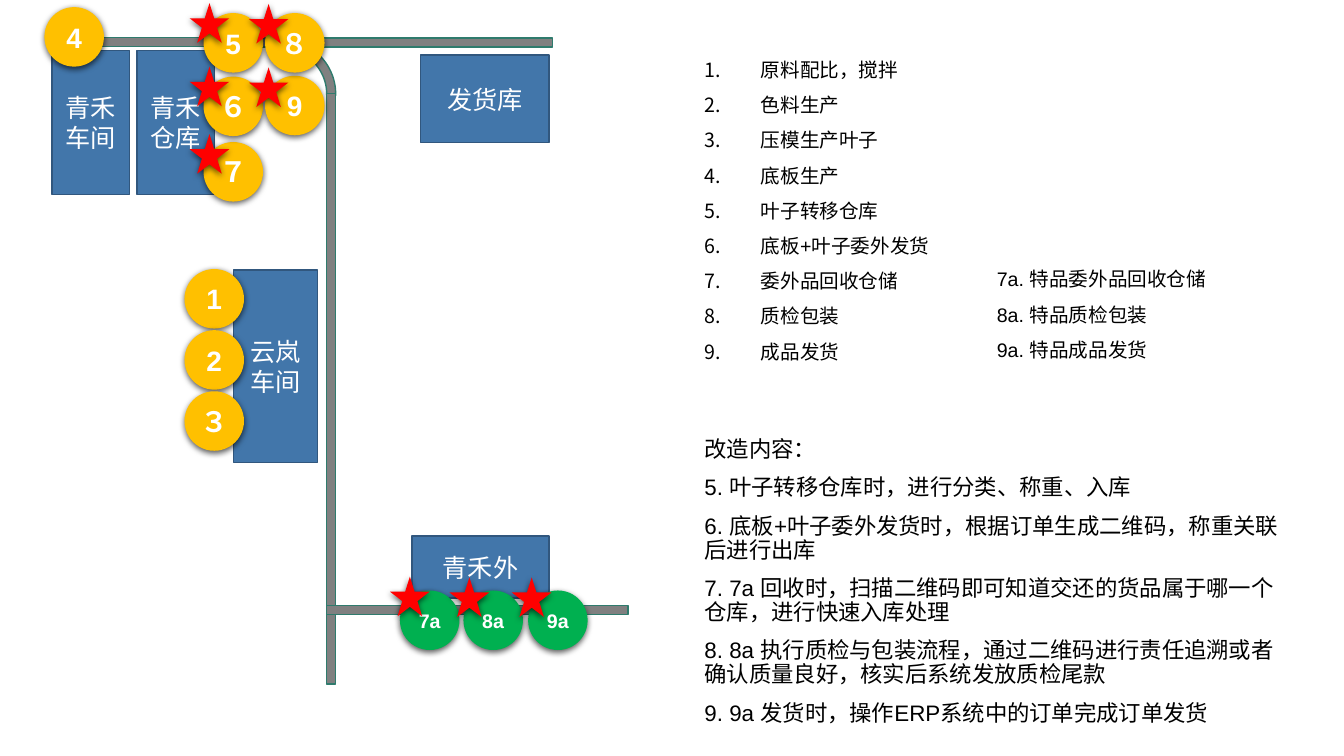
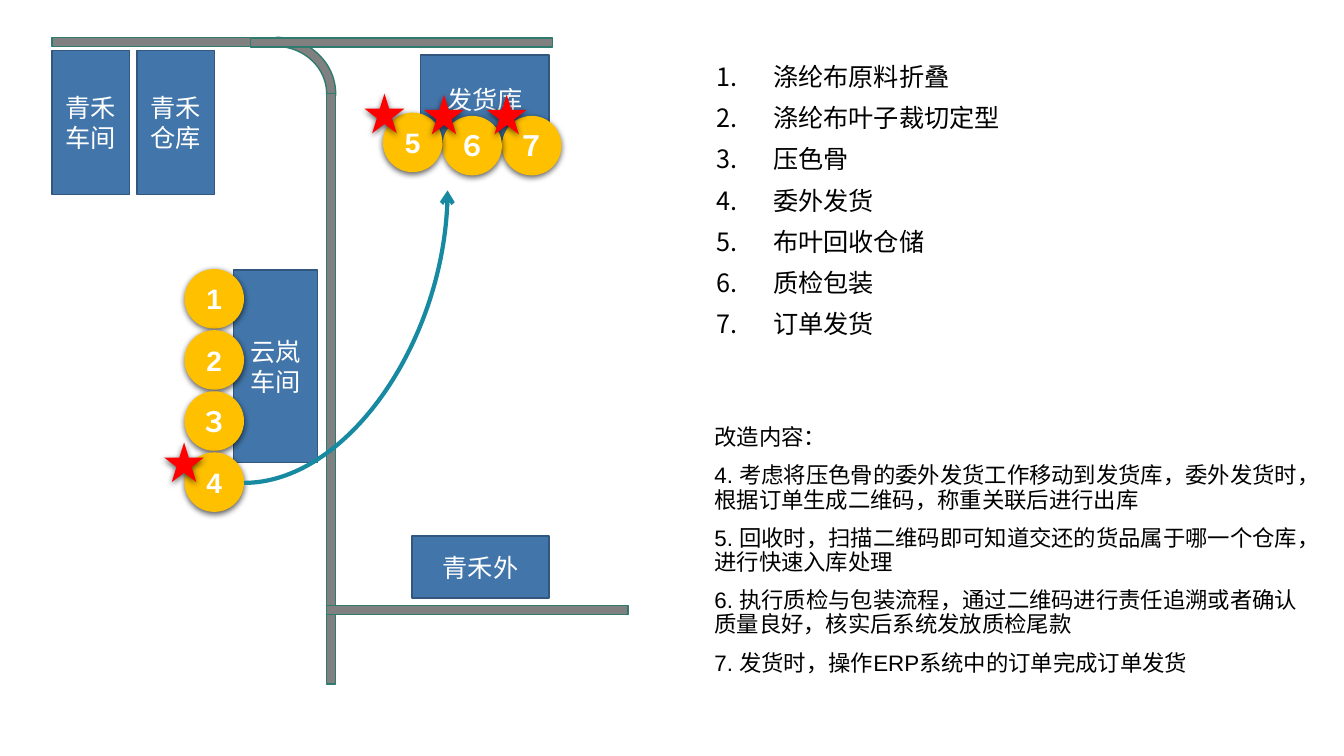
from typing import NamedTuple, Optional

from lxml.etree import SubElement
from pptx import Presentation
from pptx.dml.color import RGBColor
from pptx.enum.shapes import MSO_CONNECTOR, MSO_SHAPE
from pptx.enum.text import MSO_ANCHOR, MSO_AUTO_SIZE, PP_ALIGN
from pptx.oxml.ns import qn
from pptx.util import Cm, Pt

FONT = "Arial"
WHITE, BLACK = "FFFFFF", "000000"
BUILDING_FILL, BUILDING_LINE = "4276AA", "31577E"
ROAD_FILL, ROAD_LINE = "808080", "2F7B6D"
AMBER, GREEN, RED, TEAL = "FFC000", "00B050", "FF0000", "178AA1"
MARKER_SIZE, STAR_SIZE = 1.5, 1.0
STACK_LEFT, STACK_TOP, STACK_STEP = 4.65, 6.78, 1.54
LIST_INDENT = 1.42


class Area(NamedTuple):
    left: float
    top: float
    width: float
    height: float


class Building(NamedTuple):
    area: Area
    lines: list[str]


class Marker(NamedTuple):
    label: str
    left: float
    top: float
    fill: str = AMBER
    size: int = 20


class TextBlock(NamedTuple):
    area: Area
    lines: list[str]
    size: int
    numbered: bool = False


class Plan(NamedTuple):
    steps: TextBlock
    changes: TextBlock
    markers: list[Marker]
    stars: list[tuple[float, float]]
    special: Optional[TextBlock] = None
    route: Optional[tuple[float, float, float, float]] = None


WORKSHOP, STORE = Area(1.31, 1.27, 1.96, 3.63), Area(3.45, 1.27, 1.96, 3.63)
BEND = Area(5.41, 0.94, 3.05, 2.84)
ROADS = [
    Area(1.31, 0.94, 5.64, 0.23),
    Area(8.23, 2.36, 0.23, 14.88),
    Area(6.32, 0.96, 7.6, 0.23),
    Area(8.23, 15.26, 7.6, 0.23),
]
BUILDINGS = [
    Building(WORKSHOP, ["青禾车间"]),
    Building(STORE, ["青禾仓库"]),
    Building(Area(5.89, 6.8, 2.11, 4.85), ["云岚", "车间"]),
    Building(Area(10.6, 1.39, 3.24, 2.21), ["发货库"]),
    Building(Area(10.38, 13.51, 3.46, 1.56), ["青禾外"]),
]


def stack(labels: str) -> list[Marker]:
    """Place markers down the left side of the lower workshop."""
    return [Marker(label, STACK_LEFT, STACK_TOP + STACK_STEP * row) for row, label in enumerate(labels)]


PLANS = [
    Plan(
        steps=TextBlock(
            Area(17.5, 1.4, 7.95, 13.56),
            ["原料配比，搅拌", "色料生产", "压模生产叶子", "底板生产", "叶子转移仓库",
             "底板+叶子委外发货", "委外品回收仓储", "质检包装", "成品发货"],
            14, True,
        ),
        changes=TextBlock(
            Area(17.5, 10.92, 15.32, 7.75),
            ["改造内容：",
             "5. 叶子转移仓库时，进行分类、称重、入库",
             "6. 底板+叶子委外发货时，根据订单生成二维码，称重关联后进行出库",
             "7. 7a 回收时，扫描二维码即可知道交还的货品属于哪一个仓库，进行快速入库处理",
             "8. 8a 执行质检与包装流程，通过二维码进行责任追溯或者确认质量良好，核实后系统发放质检尾款",
             "9. 9a 发货时，操作ERP系统中的订单完成订单发货"],
            16,
        ),
        markers=[
            Marker("７", 5.13, 3.58), Marker("６", 5.13, 1.93), Marker("5", 5.13, 0.33),
            Marker("4", 1.12, 0.18), *stack("12３"),
            Marker("9", 6.68, 1.91), Marker("８", 6.68, 0.33),
            *(Marker(label, left, 14.88, GREEN, 14)
              for label, left in (("9a", 13.31), ("8a", 11.68), ("7a", 10.08))),
        ],
        stars=[(4.78, 0.08), (4.78, 1.68), (6.27, 0.1), (6.27, 1.7),
               (4.78, 3.38), (9.83, 14.53), (11.33, 14.55), (12.9, 14.55)],
        special=TextBlock(
            Area(24.87, 6.68, 7.95, 3.43),
            ["7a. 特品委外品回收仓储", "8a. 特品质检包装", "9a. 特品成品发货"],
            14,
        ),
    ),
    Plan(
        steps=TextBlock(
            Area(17.81, 1.5, 11.38, 13.56),
            ["涤纶布原料折叠", "涤纶布叶子裁切定型", "压色骨", "委外发货",
             "布叶回收仓储", "质检包装", "订单发货"],
            18, True,
        ),
        changes=TextBlock(
            Area(17.75, 10.62, 15.32, 7.75),
            ["改造内容：",
             "4. 考虑将压色骨的委外发货工作移动到发货库，委外发货时，根据订单生成二维码，称重关联后进行出库",
             "5. 回收时，扫描二维码即可知道交还的货品属于哪一个仓库，进行快速入库处理",
             "6. 执行质检与包装流程，通过二维码进行责任追溯或者确认质量良好，核实后系统发放质检尾款",
             "7. 发货时，操作ERP系统中的订单完成订单发货"],
            16,
        ),
        markers=[Marker("７", 12.65, 2.92), Marker("６", 11.15, 2.92),
                 Marker("5", 9.65, 2.84), *stack("12３4")],
        stars=[(9.19, 2.36), (10.69, 2.39), (12.27, 2.39), (4.14, 11.15)],
        route=(6.15, 12.17, 11.28, 4.8),
    ),
]


def color(value: str) -> RGBColor:
    """Turn a hex string into a colour."""
    return RGBColor.from_string(value)


def lengths(area: Area) -> list[Cm]:
    """Turn an area into slide lengths."""
    return [Cm(value) for value in area]


def draw_shape(page, kind: MSO_SHAPE, area: Area, fill: str, line: Optional[str] = None):
    """Draw a flat preset shape."""
    shape = page.shapes.add_shape(kind, *lengths(area))
    shape.shadow.inherit = False
    shape.fill.solid()
    shape.fill.fore_color.rgb = color(fill)
    if line:
        shape.line.color.rgb = color(line)
        shape.line.width = Pt(1)
    else:
        shape.line.fill.background()
    return shape


def add_shadow(shape) -> None:
    """Give a shape a soft shadow below."""
    effects = shape._element.spPr.find(qn("a:effectLst"))
    shadow = SubElement(effects, qn("a:outerShdw"), blurRad=str(Pt(4.5)), dist=str(Pt(1.5)),
                        dir="5400000", algn="ctr", rotWithShape="0")
    tint = SubElement(shadow, qn("a:srgbClr"), val=BLACK)
    SubElement(tint, qn("a:alpha"), val="63000")


def style_font(para, size: int, value: str, bold: bool = False) -> None:
    """Set the font of a whole paragraph."""
    para.font.name = FONT
    para.font.size = Pt(size)
    para.font.bold = bold
    para.font.color.rgb = color(value)


def write_label(shape, lines: list[str], size: int, bold: bool = False) -> None:
    """Write centred white text in a shape."""
    frame = shape.text_frame
    frame.vertical_anchor = MSO_ANCHOR.MIDDLE
    frame.text = "\n".join(lines)
    for para in frame.paragraphs:
        para.alignment = PP_ALIGN.CENTER
        style_font(para, size, WHITE, bold)


def write_block(box, block: TextBlock) -> None:
    """Place a text box and fill it with plain or numbered lines."""
    box.left, box.top, box.width, box.height = lengths(block.area)
    frame = box.text_frame
    frame.word_wrap = True
    frame.auto_size = MSO_AUTO_SIZE.NONE
    frame.text = "\n".join(block.lines)
    indent = Cm(LIST_INDENT) if block.numbered else 0
    for para in frame.paragraphs:
        para.line_spacing = 0.9
        para.space_before = Pt(10)
        properties = para._p.get_or_add_pPr()
        properties.set("marL", str(indent))
        properties.set("indent", str(-indent))
        if block.numbered:
            SubElement(properties, qn("a:buFont"), typeface="+mj-ea")
            SubElement(properties, qn("a:buAutoNum"), type="arabicPeriod")
        else:
            SubElement(properties, qn("a:buNone"))
        style_font(para, block.size, BLACK)


def draw_site(page) -> None:
    """Draw the roads and buildings."""
    bend = draw_shape(page, MSO_SHAPE.BLOCK_ARC, BEND, ROAD_FILL, ROAD_LINE)
    for index, value in enumerate((162.9, 1.03, 0.08)):
        bend.adjustments[index] = value
    for road in ROADS:
        draw_shape(page, MSO_SHAPE.RECTANGLE, road, ROAD_FILL, ROAD_LINE)
    for building in BUILDINGS:
        shape = draw_shape(page, MSO_SHAPE.RECTANGLE, building.area, BUILDING_FILL, BUILDING_LINE)
        write_label(shape, building.lines, 18)


def draw_marker(page, marker: Marker) -> None:
    """Draw a numbered circle."""
    area = Area(marker.left, marker.top, MARKER_SIZE, MARKER_SIZE)
    circle = draw_shape(page, MSO_SHAPE.OVAL, area, marker.fill)
    add_shadow(circle)
    frame = circle.text_frame
    frame.margin_left = frame.margin_right = frame.margin_top = frame.margin_bottom = 0
    write_label(circle, [marker.label], marker.size, True)


def draw_route(page, route: tuple[float, float, float, float]) -> None:
    """Draw a curved arrow."""
    arrow = page.shapes.add_connector(MSO_CONNECTOR.CURVE, *(Cm(value) for value in route))
    arrow.line.color.rgb = color(TEAL)
    arrow.line.width = Pt(3)
    properties = arrow._element.spPr
    properties.find(qn("a:prstGeom")).set("prst", "curvedConnector2")
    SubElement(properties.find(qn("a:ln")), qn("a:tailEnd"), type="arrow")
    SubElement(properties, qn("a:effectLst"))


def build_page(deck, plan: Plan) -> None:
    """Build one process slide."""
    page = deck.slides.add_slide(deck.slide_layouts.get_by_name("Two Content"))
    title, steps, changes = page.placeholders
    title._element.getparent().remove(title._element)
    write_block(steps, plan.steps)
    write_block(changes, plan.changes)
    draw_site(page)
    for marker in plan.markers:
        draw_marker(page, marker)
    if plan.special:
        write_block(page.shapes.add_textbox(*lengths(plan.special.area)), plan.special)
    for left, top in plan.stars:
        area = Area(left, top, STAR_SIZE, STAR_SIZE)
        add_shadow(draw_shape(page, MSO_SHAPE.STAR_5_POINT, area, RED))
    if plan.route:
        draw_route(page, plan.route)


def main() -> None:
    """Build and save the deck."""
    deck = Presentation()
    deck.slide_width, deck.slide_height = Cm(33.87), Cm(19.05)
    for plan in PLANS:
        build_page(deck, plan)
    deck.save("out.pptx")


if __name__ == "__main__":
    main()
